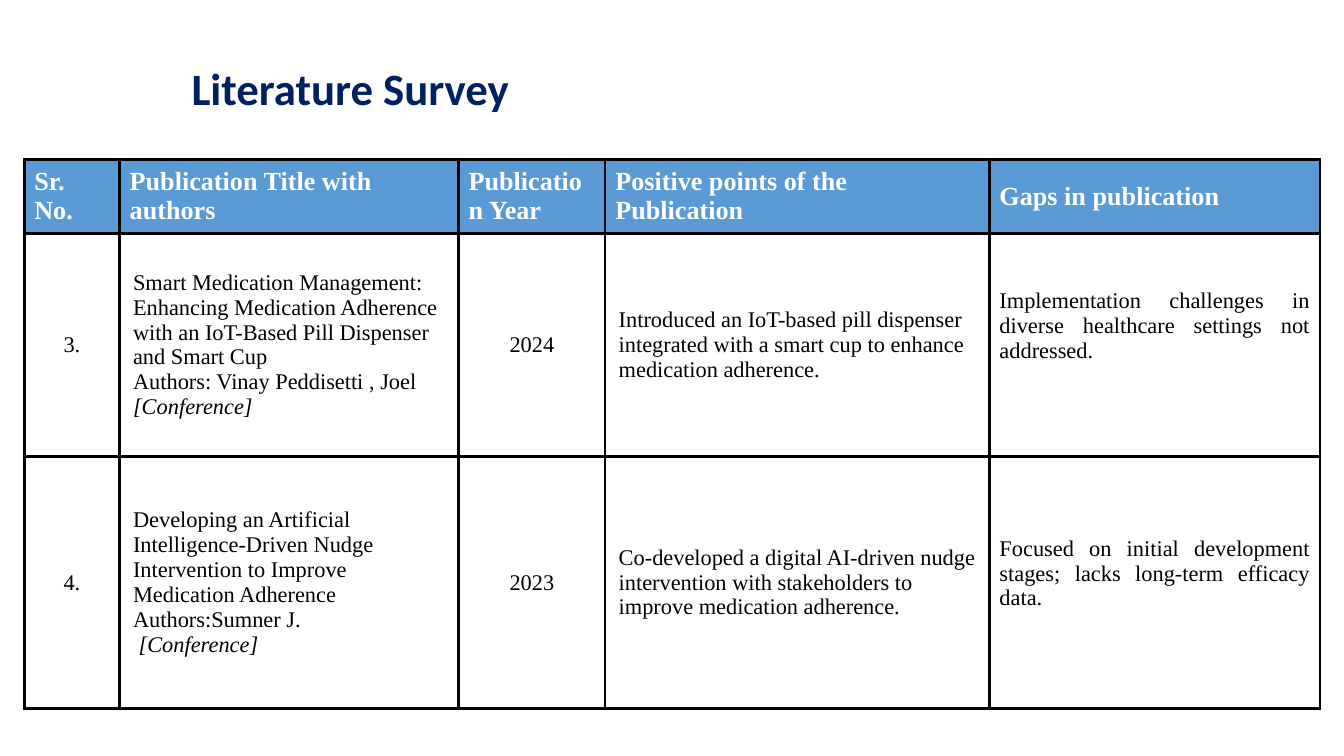
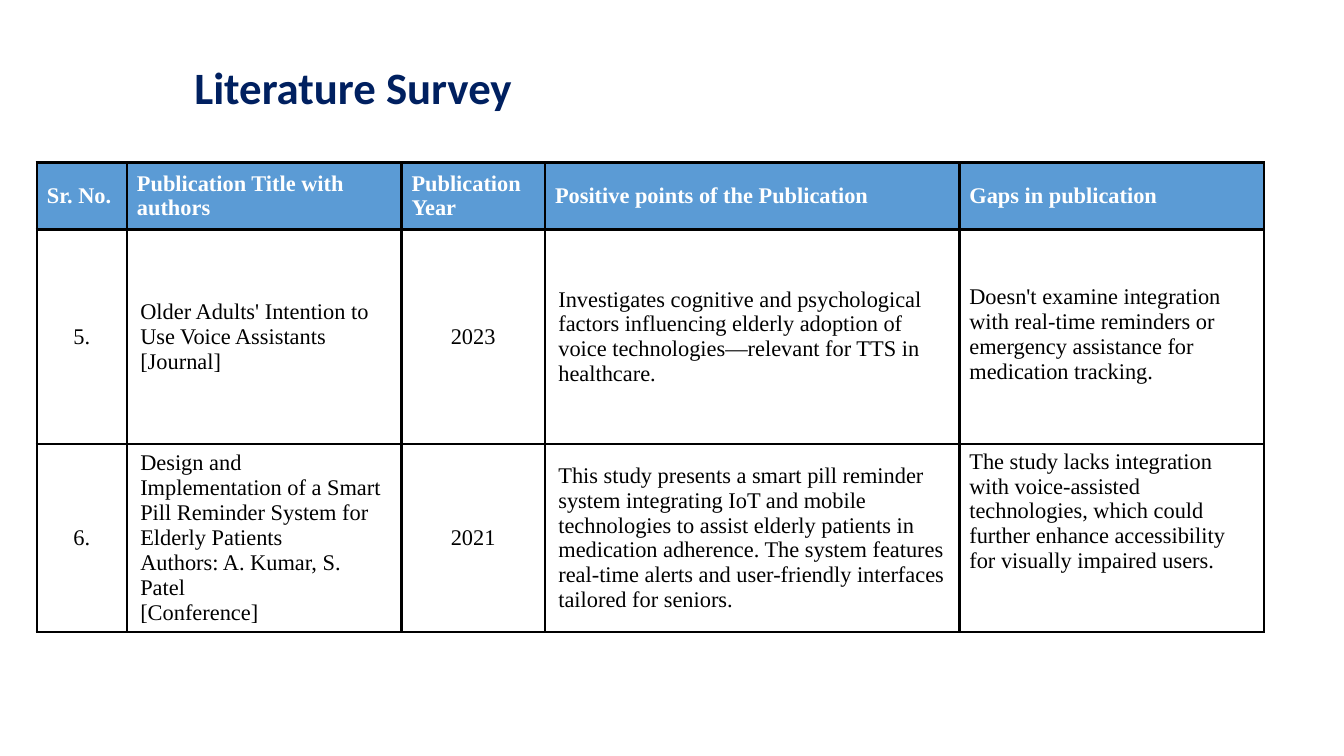
"""Build the two literature survey slides, each a title above a table of publications."""
from lxml import etree
from pptx import Presentation
from pptx import util as u
from pptx.dml.color import RGBColor
from pptx.enum import text
from pptx.oxml.ns import qn

Pt = u.Pt
COLOURS = {"title": "002060", "header": "5B9BD5", "header_text": "FFFFFF",
           "body": "FFFFFF", "body_text": "000000", "border": "000000"}
TITLE_FONT, TABLE_FONT = "Calibri", "Times New Roman"
BODY_SIZE, BODY_LINE = 12, 13.35
NARROW, WIDE = (5.4, 2.7), (7.2, 3.6)
HEADINGS = ["Sr. No.", "Publication Title with authors", "Publication Year",
            "Positive points of the Publication", "Gaps in publication"]
YEAR, GAPS = 2, 4
CENTRED, INDENTED = (0, YEAR), (1, 3)

SURVEYS = [
    {
        "title_at": (97.2, 31), "table_at": (13, 85.5), "header_size": 14,
        "columns": [51.1, 181.6, 78.6, 205.8, 177.2], "rows": [39.6, 119.5, 135],
        "gap_lines": [2, 3], "gap_align": text.PP_ALIGN.JUSTIFY,
        "entries": [
            (["3."],
             ["Smart Medication Management: Enhancing Medication Adherence with an "
              "IoT-Based Pill Dispenser and Smart Cup",
              "Authors: Vinay Peddisetti , Joel", ("[Conference]",)],
             ["2024"],
             ["Introduced an IoT-based pill dispenser integrated with a smart cup to "
              "enhance medication adherence."],
             ["Implementation challenges in diverse healthcare settings not addressed."]),
            (["4."],
             ["Developing an Artificial Intelligence-Driven Nudge Intervention to "
              "Improve Medication Adherence",
              "Authors:Sumner J.", (" [Conference]",)],
             ["2023"],
             ["Co-developed a digital AI-driven nudge intervention with stakeholders "
              "to improve medication adherence."],
             ["Focused on initial development stages; lacks long-term efficacy data."]),
        ],
    },
    {
        "title_at": (98.7, 30.6), "table_at": (19.7, 87), "header_size": 12,
        "columns": [48.3, 147.1, 76.9, 222, 163.2], "rows": [36, 115, 96],
        "gap_lines": [2, 0], "gap_align": text.PP_ALIGN.LEFT,
        "entries": [
            (["5."],
             ["Older Adults' Intention to Use Voice Assistants [Journal]"],
             ["2023"],
             ["Investigates cognitive and psychological factors influencing elderly "
              "adoption of voice technologies—relevant for TTS in healthcare."],
             ["Doesn't examine integration with real-time reminders or emergency "
              "assistance for medication tracking."]),
            (["6."],
             ["Design and Implementation of a Smart Pill Reminder System for Elderly "
              "Patients", "Authors: A. Kumar, S. Patel", "[Conference]"],
             ["2021"],
             ["This study presents a smart pill reminder system integrating IoT and "
              "mobile technologies to assist elderly patients in medication adherence. "
              "The system features real-time alerts and user-friendly interfaces "
              "tailored for seniors."],
             ["The study lacks integration with voice-assisted technologies, which "
              "could further enhance accessibility for visually impaired users."]),
        ],
    },
]


def add_span(para, words, font, size, colour, bold=False, italic=False):
    """Add one formatted run to a paragraph."""
    span = para.add_run()
    span.text = words
    span.font.name = font
    span.font.size = Pt(size)
    span.font.bold = bold
    span.font.italic = italic
    span.font.color.rgb = RGBColor.from_string(COLOURS[colour])


def add_borders(cell):
    """Draw a solid line on all four sides of a cell."""
    properties = cell._tc.get_or_add_tcPr()
    for side in ("lnL", "lnR", "lnT", "lnB"):
        line = etree.SubElement(properties, qn(f"a:{side}"), w=str(Pt(1.5)))
        fill = etree.SubElement(line, qn("a:solidFill"))
        etree.SubElement(fill, qn("a:srgbClr"), val=COLOURS["border"])


deck = Presentation()
deck.slide_width, deck.slide_height = Pt(720), Pt(405)

for survey in SURVEYS:
    page = deck.slides.add_slide(deck.slide_layouts[5])

    title = page.shapes.title
    title.left, title.top = (Pt(length) for length in survey["title_at"])
    title.width, title.height = Pt(190), Pt(35.3)
    box = title.text_frame
    box.word_wrap = True
    box.auto_size = text.MSO_AUTO_SIZE.NONE
    box.vertical_anchor = text.MSO_ANCHOR.MIDDLE
    box.margin_left = box.margin_right = Pt(NARROW[0])
    box.margin_top = box.margin_bottom = Pt(NARROW[1])
    para = box.paragraphs[0]
    para.alignment = text.PP_ALIGN.LEFT
    para.line_spacing = 0.9
    add_span(para, "Literature Survey", TITLE_FONT, 24, "title", bold=True)

    columns, rows = survey["columns"], survey["rows"]
    left, top = survey["table_at"]
    table = page.shapes.add_table(len(rows), len(columns), Pt(left), Pt(top),
                                  Pt(sum(columns)), Pt(sum(rows))).table
    table.first_row = table.horz_banding = False
    for column, width in zip(table.columns, columns):
        column.width = Pt(width)
    for row, height in zip(table.rows, rows):
        row.height = Pt(height)

    grid = [[[heading] for heading in HEADINGS], *survey["entries"]]
    for row_index, entry in enumerate(grid):
        is_header = row_index == 0
        for column_index, lines in enumerate(entry):
            cell = table.cell(row_index, column_index)
            add_borders(cell)
            cell.fill.solid()
            cell.fill.fore_color.rgb = RGBColor.from_string(
                COLOURS["header" if is_header else "body"])

            indented = not is_header and column_index in INDENTED
            side, edge = WIDE if indented else NARROW
            cell.margin_left = cell.margin_right = Pt(side)
            cell.margin_top = cell.margin_bottom = Pt(edge)
            cell.vertical_anchor = text.MSO_ANCHOR.MIDDLE
            align = text.PP_ALIGN.LEFT
            if not is_header and column_index in CENTRED:
                align = text.PP_ALIGN.CENTER
            if not is_header and column_index == GAPS:
                align = survey["gap_align"]
                cell.vertical_anchor = text.MSO_ANCHOR.TOP
                cell.margin_top = Pt(edge + BODY_LINE * survey["gap_lines"][row_index - 1])

            for line_index, line in enumerate(lines):
                frame = cell.text_frame
                para = frame.add_paragraph() if line_index else frame.paragraphs[0]
                para.alignment = align
                italic = isinstance(line, tuple)
                add_span(para, line[0] if italic else line, TABLE_FONT,
                         survey["header_size"] if is_header else BODY_SIZE,
                         "header_text" if is_header else "body_text",
                         bold=is_header, italic=italic)

deck.save("out.pptx")
